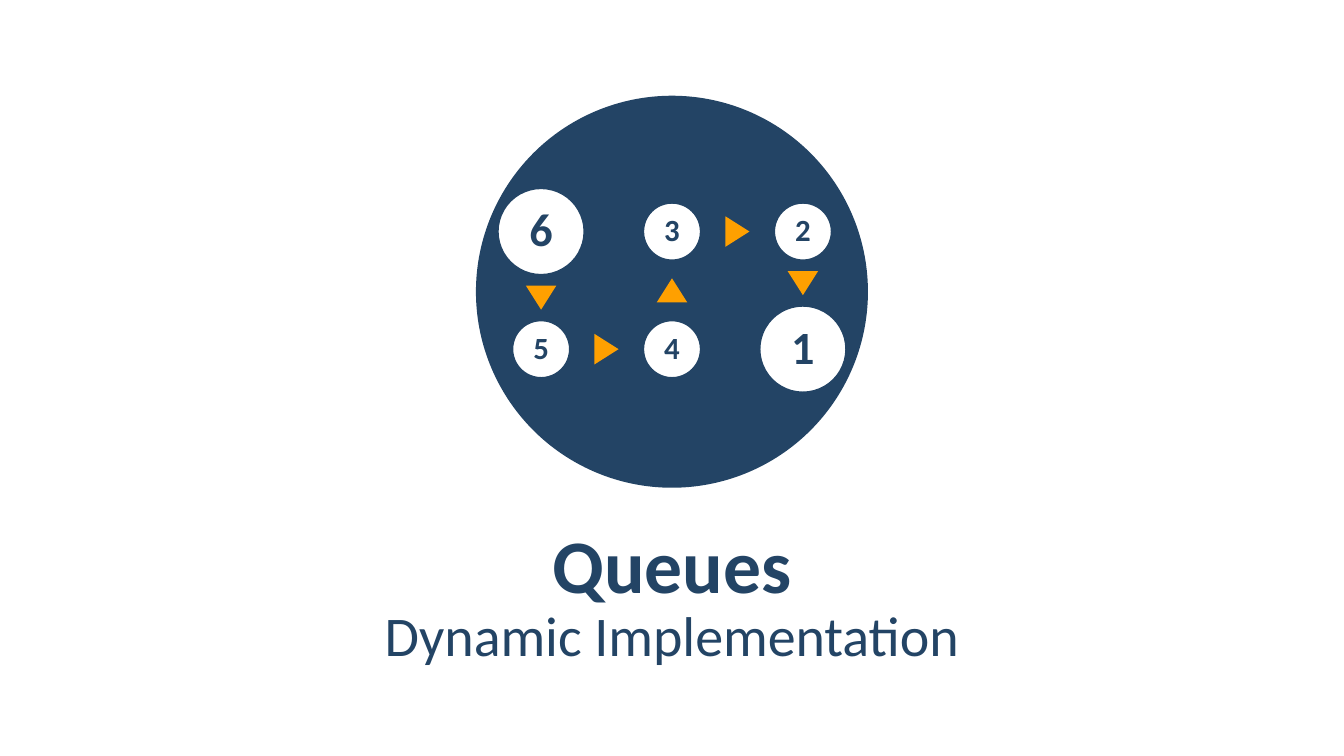
from collections import namedtuple
from itertools import pairwise
from math import atan2, degrees, hypot

from pptx import Presentation
from pptx.dml.color import RGBColor
from pptx.enum.shapes import MSO_SHAPE as Preset
from pptx.enum.text import MSO_ANCHOR as Anchor, PP_ALIGN as Align
from pptx.util import Pt

Box = namedtuple("Box", "left top width height")
Node = namedtuple("Node", "label column row diameter size")

NAVY, WHITE, AMBER = "234465", "FFFFFF", "FFA000"
FONT = "Calibri"
BIG, SMALL = (62.6, 33), (41.8, 22)
QUEUE = [
    Node("6", -1, 0, *BIG),
    Node("5", -1, 1, *SMALL),
    Node("4", 0, 1, *SMALL),
    Node("3", 0, 0, *SMALL),
    Node("2", 1, 0, *SMALL),
    Node("1", 1, 1, *BIG),
]
COLUMN_PITCH, ROW_PITCH, FIRST_ROW = 93.5, 84, 97


def color(value):
    """Return the colour for a hex string."""
    return RGBColor.from_string(value)


def add_shape(page, preset, box, fill, line=None):
    """Add a flat preset shape with an optional 2 pt outline."""
    shape = page.shapes.add_shape(preset, *map(Pt, box))
    shape.shadow.inherit = False
    shape.fill.solid()
    shape.fill.fore_color.rgb = color(fill)
    if line:
        shape.line.color.rgb = color(line)
        shape.line.width = Pt(2)
    else:
        shape.line.fill.background()
    return shape


def write(frame, text, size, bold, spacing, margins):
    """Put one centred navy paragraph into a text frame."""
    frame.word_wrap = True
    frame.vertical_anchor = Anchor.MIDDLE
    frame.margin_left = frame.margin_right = Pt(margins[0])
    frame.margin_top = frame.margin_bottom = Pt(margins[1])
    para = frame.paragraphs[0]
    para.text = text
    para.alignment = Align.CENTER
    para.line_spacing = spacing
    para.font.name = FONT
    para.font.size = Pt(size)
    para.font.bold = bold
    para.font.color.rgb = color(NAVY)
    return para


def node_center(node, box):
    """Return the centre of a queue node inside the badge box."""
    x = box.left + box.width / 2 + node.column * COLUMN_PITCH
    return x, box.top + FIRST_ROW + node.row * ROW_PITCH


def add_node(page, node, box):
    """Draw a numbered circle of the queue."""
    x, y = node_center(node, box)
    radius = node.diameter / 2
    circle = Box(x - radius, y - radius, node.diameter, node.diameter)
    shape = add_shape(page, Preset.OVAL, circle, WHITE, NAVY)
    write(shape.text_frame, node.label, node.size, True, 0.9, (0, 0))


def add_arrow(page, start, end, box):
    """Draw a triangle in the middle of the gap between two nodes."""
    (x1, y1), (x2, y2) = node_center(start, box), node_center(end, box)
    dx, dy = x2 - x1, y2 - y1
    share = 0.5 + (start.diameter - end.diameter) / 4 / hypot(dx, dy)
    x, y = x1 + dx * share, y1 + dy * share
    width, height = 21.8, 17.2
    place = Box(x - width / 2, y - height / 2, width, height)
    triangle = add_shape(page, Preset.ISOSCELES_TRIANGLE, place, AMBER)
    triangle.rotation = degrees(atan2(dx, -dy))


def add_badge(page, box):
    """Draw the navy disc with the winding queue in it."""
    add_shape(page, Preset.OVAL, box, NAVY)
    for node in QUEUE:
        add_node(page, node, box)
    for start, end in pairwise(QUEUE):
        add_arrow(page, start, end, box)


def add_titles(page, box):
    """Place the title and the subtitle below it."""
    lines = [
        ("Queues", 54, True, 0, 60.5),
        ("Dynamic Implementation", 40, False, 61.2, 39.6),
    ]
    for text, size, bold, offset, height in lines:
        place = Box(box.left, box.top + offset, box.width, height)
        frame = page.shapes.add_textbox(*map(Pt, place)).text_frame
        para = write(frame, text, size, bold, 1.05, (8.6, 2.9))
        para.space_before = para.space_after = Pt(6)


def main():
    """Build the title slide and save it."""
    deck = Presentation()
    deck.slide_width, deck.slide_height = Pt(960), Pt(540)
    page = deck.slides.add_slide(deck.slide_layouts[6])
    add_badge(page, Box(340, 68.4, 280, 280))
    add_titles(page, Box(48.2, 370.8, 863.5, 100.8))
    deck.save("out.pptx")


if __name__ == "__main__":
    main()
